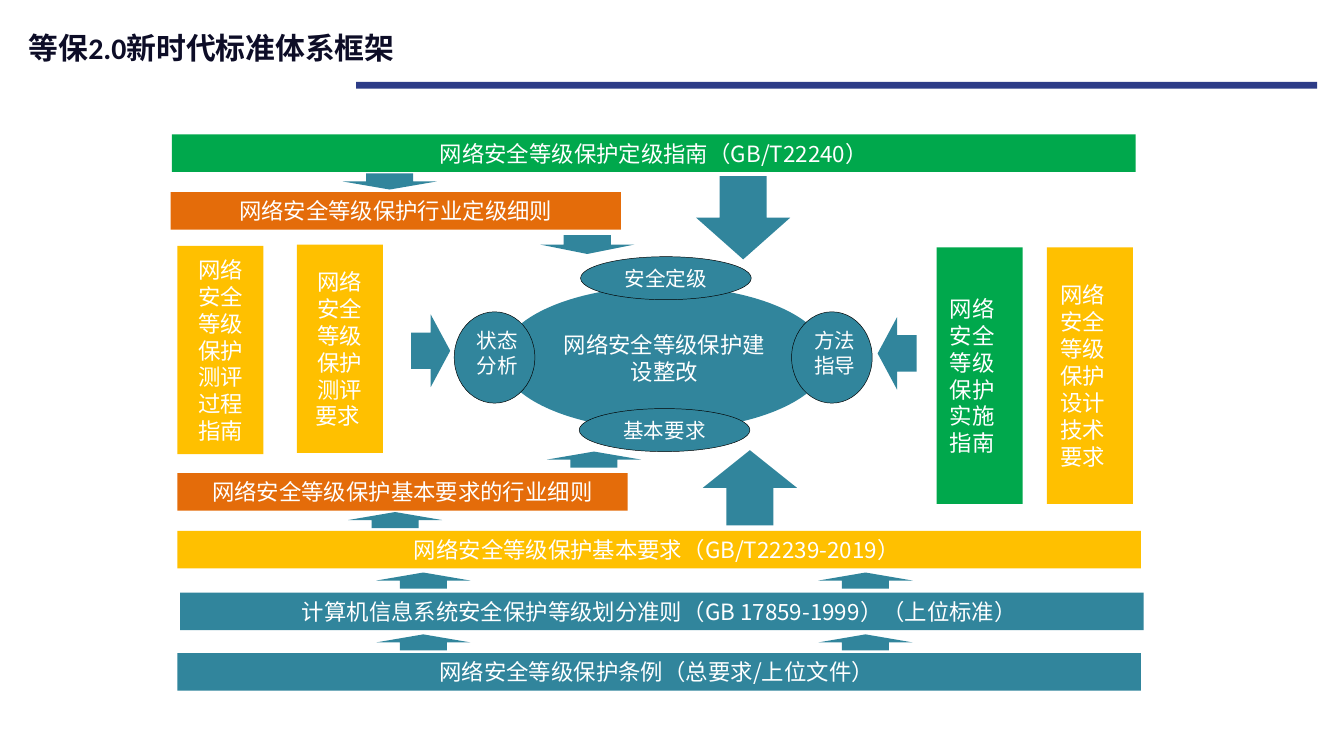
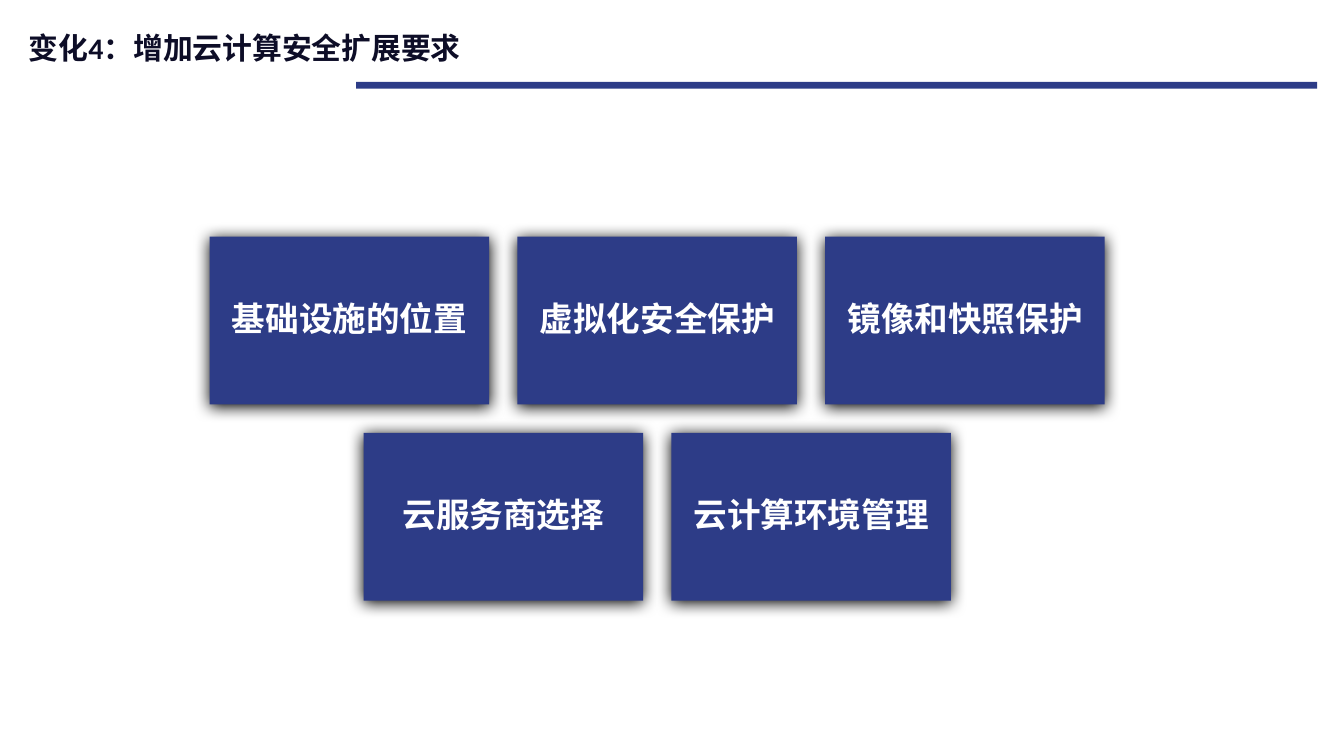
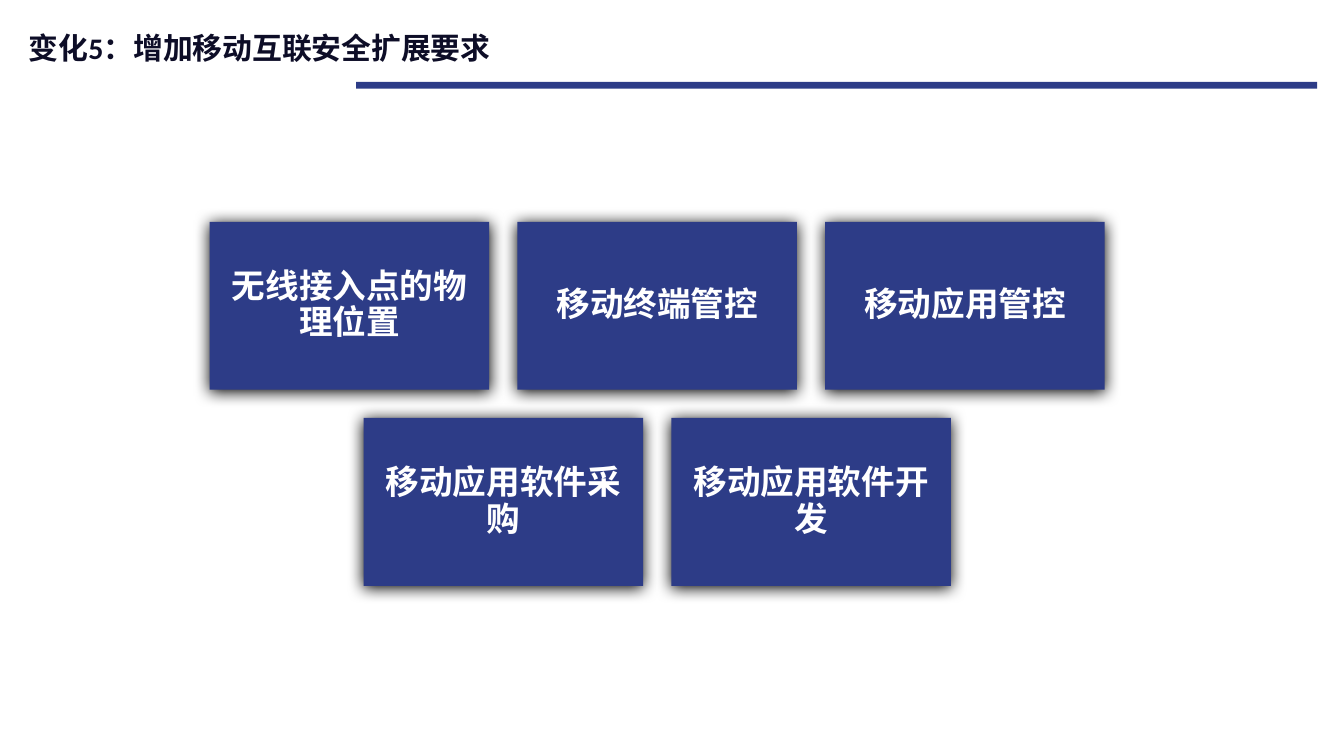
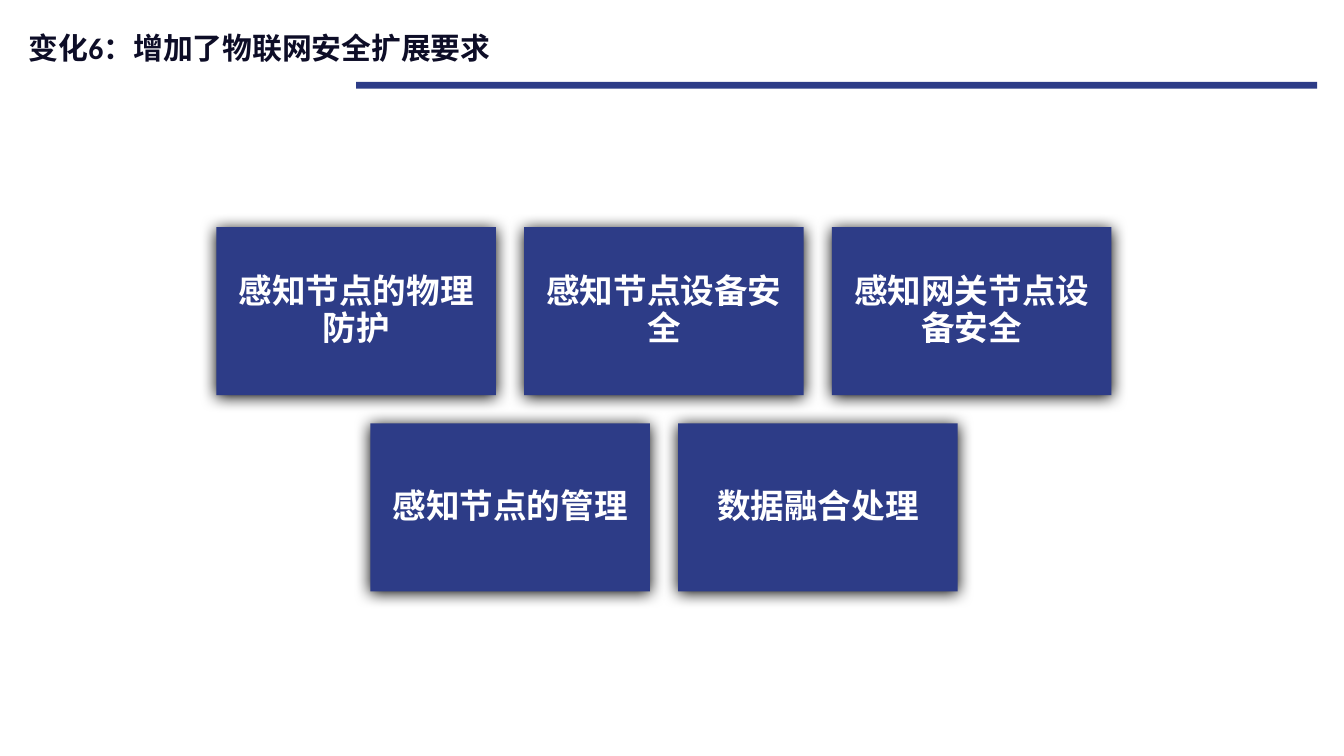
from lxml import etree
from pptx import Presentation, util as u
from pptx.dml.color import RGBColor
from pptx.enum import shapes, text
from pptx.oxml.ns import qn

WIDE = 10
HIGH = WIDE * 9 / 16
HUE = {"ink": "0D0D27", "navy": "2D3C87", "teal": "31859C", "gold": "FFC000",
       "green": "00A84C", "orange": "E46C0A", "white": "FFFFFF", "black": "000000"}
SANS, LATIN = "Noto Sans CJK SC", "Calibri"
KIND = shapes.MSO_SHAPE
MID, LEFT = text.PP_ALIGN.CENTER, text.PP_ALIGN.LEFT

# Framework slide: title and its width, then the parts
FRAME = ("等保2.0新时代标准体系框架", 3.24)
LONG, SHORT, THICK = 7.17, 3.35, 0.28
BANDS = [  # left, top, width, colour, words
    (1.28, 1.00, LONG, "green", "网络安全等级保护定级指南（GB/T22240）"),
    (1.27, 1.43, SHORT, "orange", "网络安全等级保护行业定级细则"),
    (1.32, 3.52, SHORT, "orange", "网络安全等级保护基本要求的行业细则"),
    (1.32, 3.95, LONG, "gold", "网络安全等级保护基本要求（GB/T22239-2019） "),
    (1.34, 4.41, LONG, "teal", "计算机信息系统安全保护等级划分准则（GB 17859-1999）（上位标准） "),
    (1.32, 4.86, LONG, "teal", "网络安全等级保护条例（总要求/上位文件） "),
]
PILLAR = 0.64
PILLARS = [  # left, top, height, colour, align, words
    (1.32, 1.83, 1.55, "gold", MID, "网络安全等级保护测评过程指南"),
    (2.21, 1.82, 1.55, "gold", MID, "网络安全等级保护测评要求 "),
    (6.97, 1.84, 1.91, "green", LEFT, "网络安全等级保护实施指南"),
    (7.79, 1.84, 1.91, "gold", LEFT, "网络安全等级保护设计技术要求"),
]
CORE = ((3.73, 2.13, 2.43, 1.07), "网络安全等级保护建设整改")
CAPS = [(4.31, 3.04, "基本要求"), (4.32, 1.91, "安全定级")]
SIDES = [(3.38, "状态\n分析"), (5.89, "方法\n指导")]
ARROWS = {  # left, top, width, height
    KIND.UP_ARROW: [(2.8, 4.72, 0.7, 0.12), (6.09, 4.72, 0.7, 0.12),
                    (2.8, 4.26, 0.7, 0.12), (6.09, 4.26, 0.7, 0.12),
                    (2.59, 3.81, 0.7, 0.12), (4.07, 3.36, 0.7, 0.12),
                    (5.23, 3.35, 0.7, 0.56)],
    KIND.DOWN_ARROW: [(2.55, 1.29, 0.7, 0.12), (4.02, 1.75, 0.7, 0.14),
                      (5.18, 1.31, 0.7, 0.62)],
    KIND.RIGHT_ARROW: [(3.06, 2.34, 0.29, 0.54)],
    KIND.LEFT_ARROW: [(6.53, 2.36, 0.29, 0.54)],
}

# Tile slides: title, its width, left and top of the tiles, rows of words
TILES = [
    ("变化4：增加云计算安全扩展要求", 3.57, 1.56, 1.76,
     [["基础设施的位置", "虚拟化安全保护", "镜像和快照保护"],
      ["云服务商选择", "云计算环境管理"]]),
    ("变化5：增加移动互联安全扩展要求", 3.66, 1.56, 1.65,
     [["无线接入点的物理位置", "移动终端管控", "移动应用管控"],
      ["移动应用软件采购", "移动应用软件开发"]]),
    ("变化6：增加了物联网安全扩展要求", 3.66, 1.61, 1.69,
     [["感知节点的物理防护", "感知节点设备安全", "感知网关节点设备安全"],
      ["感知节点的管理", "数据融合处理"]]),
]
TILE_W, TILE_H, GAP = 2.08, 1.25, 0.21


def rgb(name):
    return RGBColor.from_string(HUE[name])


def write(shape, words, size, hue="white", bold=False, align=MID, font=SANS):
    frame = shape.text_frame
    frame.word_wrap = True
    frame.text = words
    for para in frame.paragraphs:
        para.alignment = align
        face = para.font
        face.size, face.bold, face.name = u.Pt(size), bold, font
        face.color.rgb = rgb(hue)
        base = para._p.pPr.find(qn("a:defRPr"))
        etree.SubElement(base, qn("a:ea"), typeface=SANS)
    return frame


def draw(slide, kind, box, hue, edge=False):
    shape = slide.shapes.add_shape(kind, *map(u.Inches, box))
    shape.shadow.inherit = False
    shape.fill.solid()
    shape.fill.fore_color.rgb = rgb(hue)
    if edge:
        shape.line.color.rgb = rgb("black")
        shape.line.width = u.Pt(0.25)
    else:
        shape.line.fill.background()
    return shape


def glow(shape):
    effects = shape._element.spPr.find(qn("a:effectLst"))
    cast = etree.SubElement(effects, qn("a:outerShdw"), blurRad=str(u.Pt(8.5)),
                            dist=str(u.Pt(1)), dir="5400000", rotWithShape="0")
    etree.SubElement(cast, qn("a:srgbClr"), val=HUE["black"])


def start(deck, title, width):
    """Blank slide with the shared title and rule."""
    slide = deck.slides.add_slide(deck.slide_layouts[6])
    head = slide.shapes.add_textbox(*map(u.Inches, (0.11, 0.17, width, 0.38)))
    frame = write(head, title, 16, "ink", True, LEFT, LATIN)
    frame.margin_left = frame.margin_right = u.Inches(0.105)
    draw(slide, KIND.RECTANGLE, (2.65, 0.61, 7.15, 0.05), "navy")
    return slide


def framework(deck):
    slide = start(deck, *FRAME)
    # Horizontal bands and upright pillars
    for left, top, width, hue, words in BANDS:
        write(draw(slide, KIND.RECTANGLE, (left, top, width, THICK), hue), words, 12)
    for left, top, height, hue, align, words in PILLARS:
        pillar = draw(slide, KIND.RECTANGLE, (left, top, PILLAR, height), hue)
        write(pillar, words, 12, align=align)
    # Core ellipse with its four satellites
    box, words = CORE
    write(draw(slide, KIND.OVAL, box, "teal"), words, 12)
    for left, top, words in CAPS:
        write(draw(slide, KIND.OVAL, (left, top, 1.27, 0.32), "teal", True), words, 11)
    for left, words in SIDES:
        draw(slide, KIND.OVAL, (left, 2.32, 0.6, 0.68), "teal", True)
        label = slide.shapes.add_textbox(*map(u.Inches, (left + 0.05, 2.39, 0.54, 0.49)))
        write(label, words, 11).word_wrap = False
    # Arrows
    for kind, boxes in ARROWS.items():
        for box in boxes:
            draw(slide, kind, box, "teal")


def tiles(deck, title, width, left, top, rows):
    slide = start(deck, title, width)
    most = max(map(len, rows))
    for r, row in enumerate(rows):
        inset = (most - len(row)) * (TILE_W + GAP) / 2
        for c, words in enumerate(row):
            box = (left + inset + c * (TILE_W + GAP), top + r * (TILE_H + GAP),
                   TILE_W, TILE_H)
            tile = draw(slide, KIND.RECTANGLE, box, "navy")
            glow(tile)
            frame = write(tile, words, 18, bold=True)
            frame.margin_left = frame.margin_right = u.Inches(0.07)
            frame.margin_top = frame.margin_bottom = u.Inches(0.07)
            para = frame.paragraphs[0]
            para.line_spacing, para.space_after = 0.9, u.Pt(6.3)


def main():
    deck = Presentation()
    deck.slide_width, deck.slide_height = u.Inches(WIDE), u.Inches(HIGH)
    framework(deck)
    for page in TILES:
        tiles(deck, *page)
    deck.save("out.pptx")


if __name__ == "__main__":
    main()
